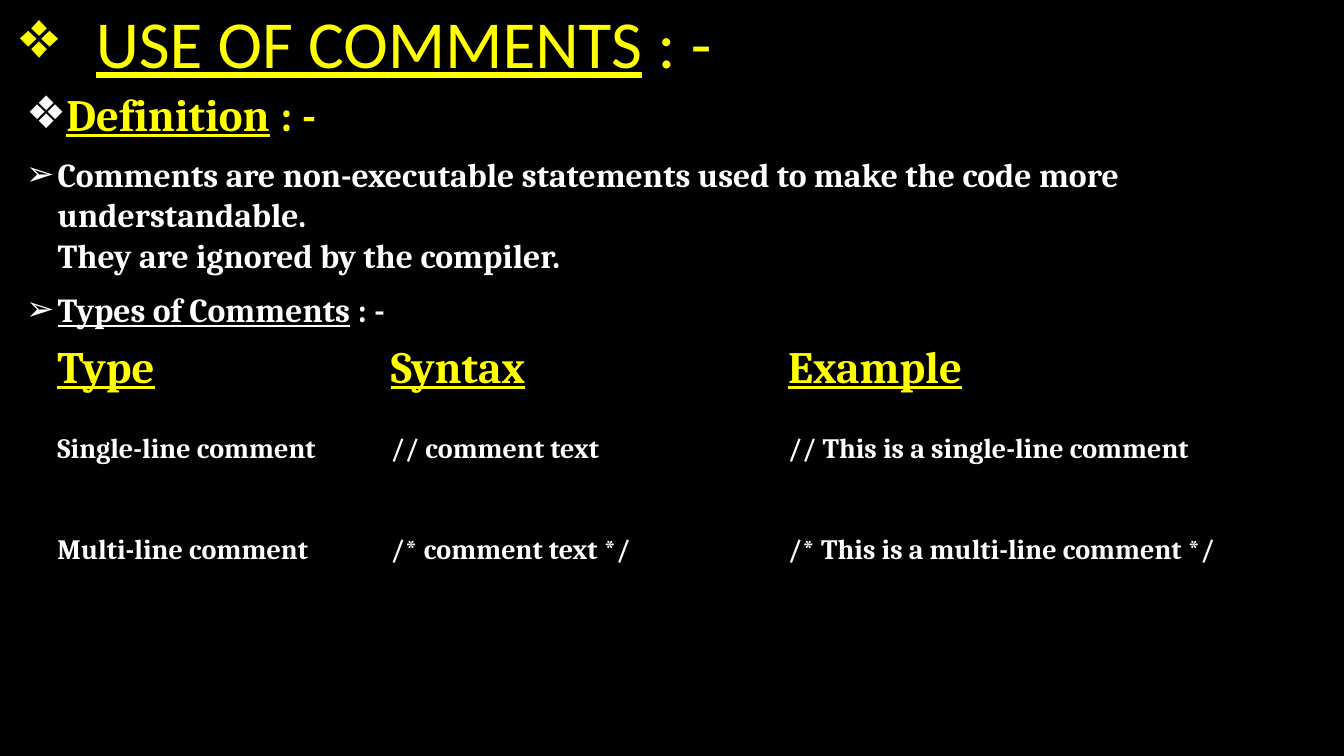
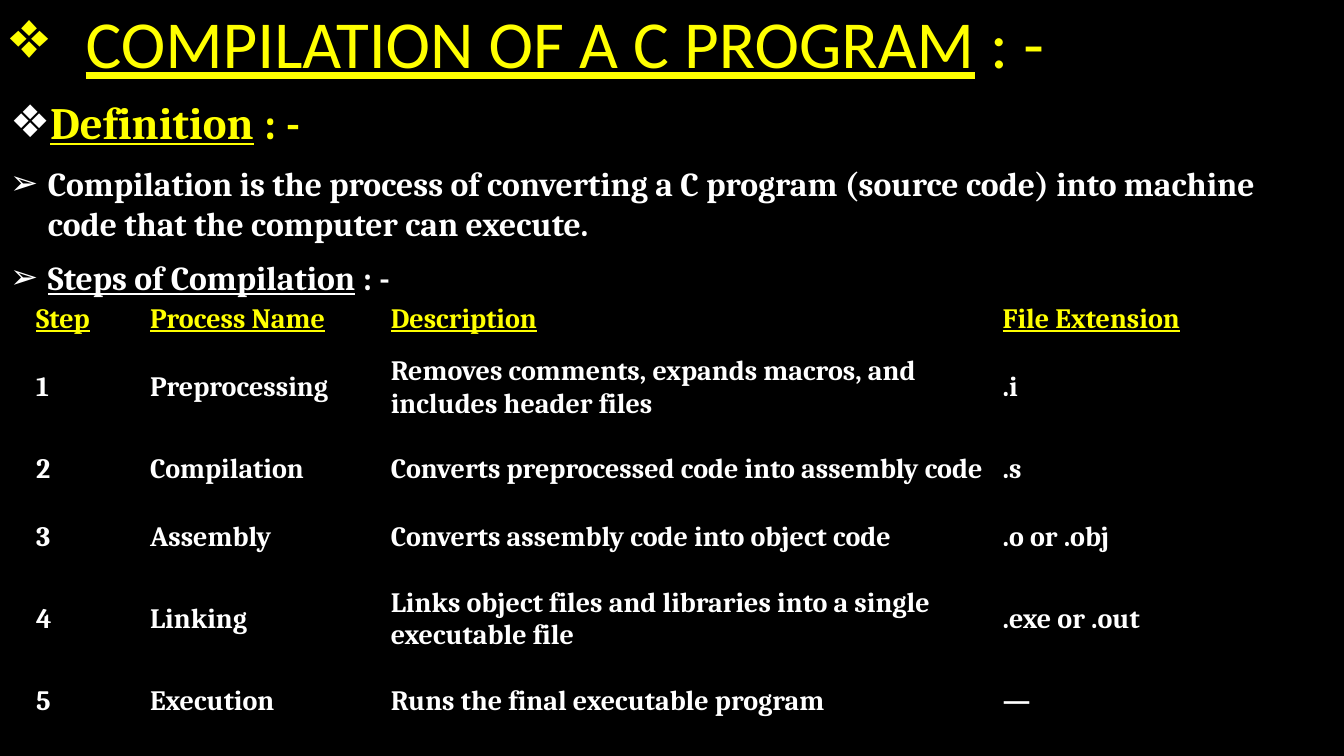
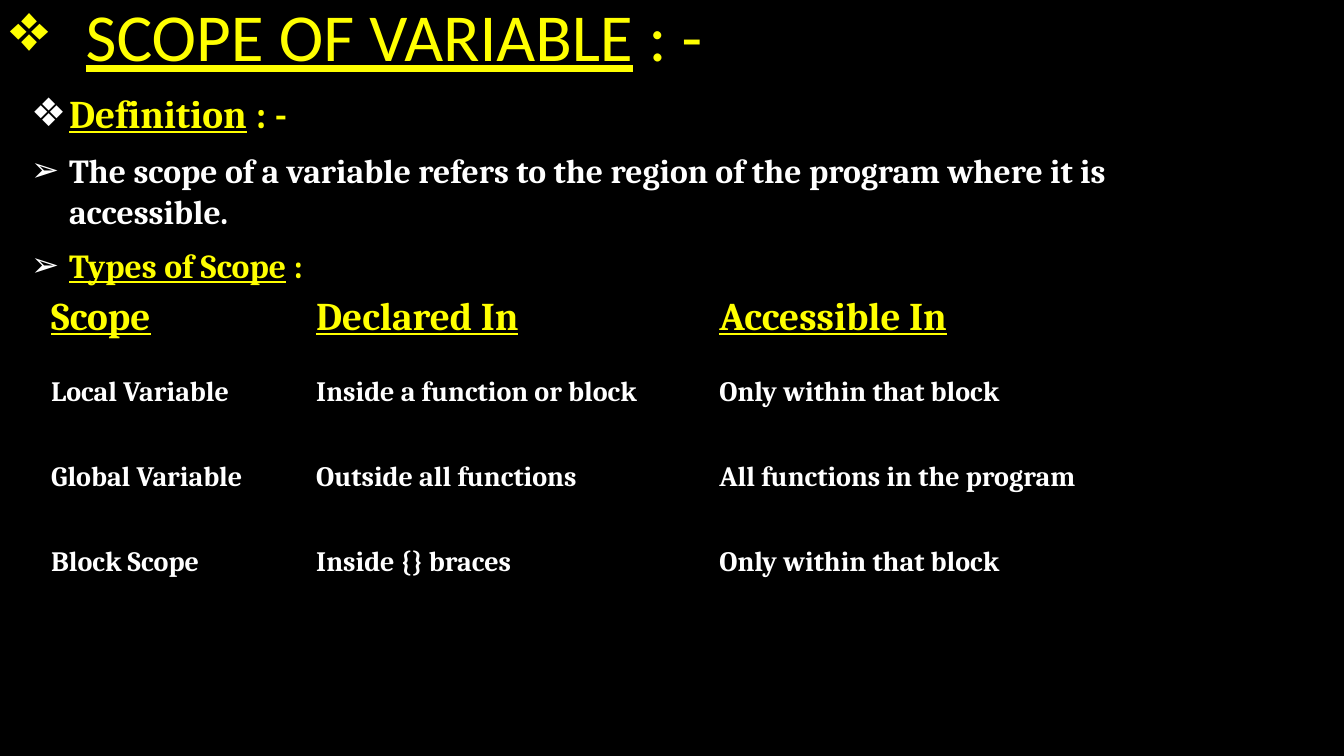
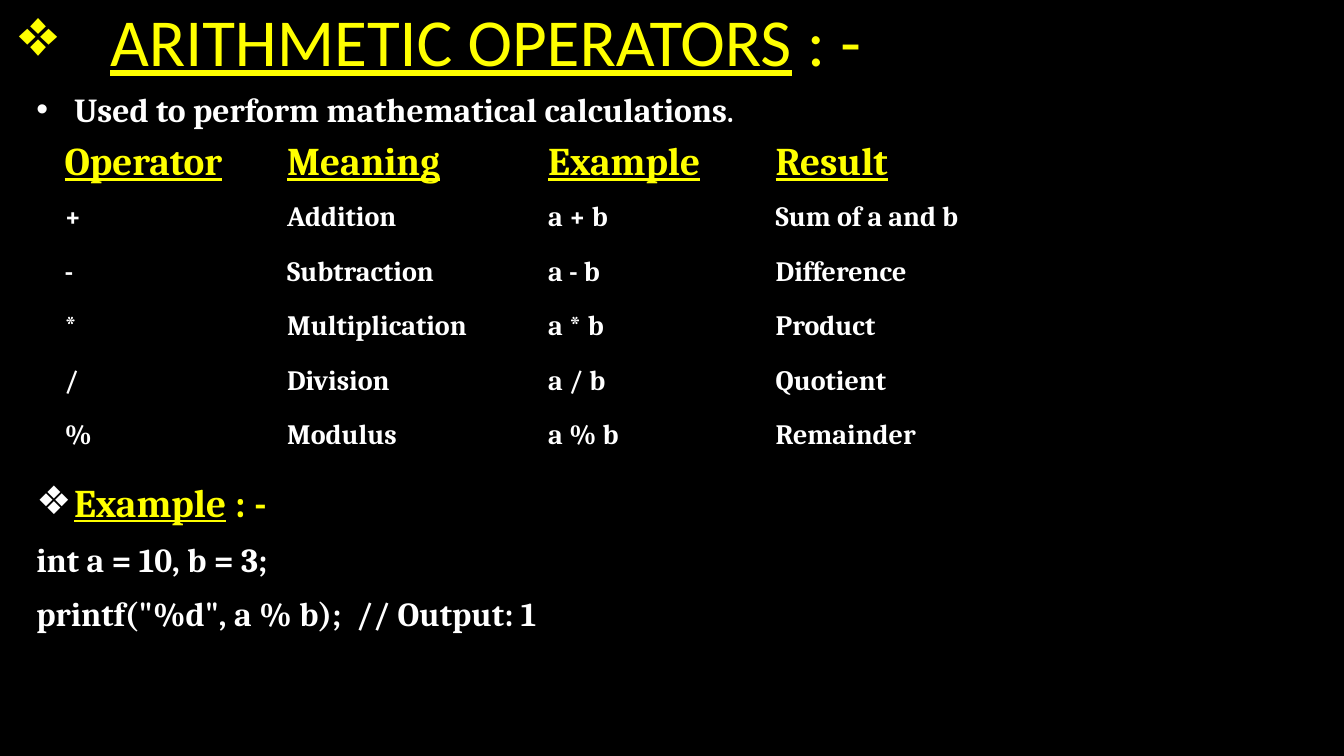
import dataclasses

import pptx
import pptx.dml.color
import pptx.enum.text
import pptx.oxml.ns
import pptx.util
from lxml import etree

Pt = pptx.util.Pt
qn = pptx.oxml.ns.qn

BLACK = pptx.dml.color.RGBColor(0x00, 0x00, 0x00)
WHITE = pptx.dml.color.RGBColor(0xFF, 0xFF, 0xFF)
YELLOW = pptx.dml.color.RGBColor(0xFF, 0xFF, 0x00)

DIAMOND, ARROW, DOT = "❖", "➢", "•"
LINE_FACTOR = 1.2
PLAIN_TABLE_STYLE = "{2D5ABB26-0587-4C30-8999-92F81FD0307C}"


@dataclasses.dataclass(frozen=True)
class Style:
    """Look of a text span."""

    size: float
    colour: pptx.dml.color.RGBColor = WHITE
    underline: bool = False
    font: str = "Cambria"
    bold: bool = True


@dataclasses.dataclass(frozen=True)
class Item:
    """One body paragraph made of (text, style) spans."""

    spans: tuple
    bullet: str = ""
    indent: float = 0
    before: float = 0


TITLE = Style(48, YELLOW, font="Calibri", bold=False)
TEXT = Style(24)
CELL = Style(20)


def underlined(style):
    """Return the underlined variant of a style."""
    return dataclasses.replace(style, underline=True)


def add_span(para, text, style):
    """Add text to a paragraph, turning newlines into line breaks."""
    for number, line in enumerate(text.split("\n")):
        if number:
            para.add_line_break()
        span = para.add_run()
        span.text = line
        span.font.name = style.font
        span.font.size = Pt(style.size)
        span.font.bold = style.bold
        span.font.underline = style.underline
        span.font.color.rgb = style.colour


def set_bullet(para, bullet, indent, colour):
    """Give a paragraph a hanging bullet, or none."""
    properties = para._p.get_or_add_pPr()
    properties.set("marL", str(Pt(indent)))
    properties.set("indent", str(-Pt(indent)))
    if not bullet:
        etree.SubElement(properties, qn("a:buNone"))
        return
    holder = etree.SubElement(properties, qn("a:buClr"))
    etree.SubElement(holder, qn("a:srgbClr")).set("val", str(colour))
    etree.SubElement(properties, qn("a:buChar")).set("char", bullet)


def place(box, left, top, width, height, anchor):
    """Move a placeholder and return its prepared text frame."""
    box.left, box.top, box.width, box.height = map(Pt, (left, top, width, height))
    frame = box.text_frame
    frame.word_wrap = True
    frame.auto_size = pptx.enum.text.MSO_AUTO_SIZE.NONE
    frame.vertical_anchor = anchor
    return frame


def add_page(deck, title, area, indent=54):
    """Add a page with its bulleted, underlined title."""
    page = deck.slides.add_slide(deck.slide_layouts[1])
    frame = place(page.shapes.title, *area, pptx.enum.text.MSO_ANCHOR.MIDDLE)
    para = frame.paragraphs[0]
    para.alignment = pptx.enum.text.PP_ALIGN.LEFT
    set_bullet(para, DIAMOND, indent, YELLOW)
    add_span(para, title, underlined(TITLE))
    add_span(para, " : -", TITLE)
    return page


def fill_body(page, area, items):
    """Write the list items into the body placeholder."""
    frame = place(page.placeholders[1], *area, pptx.enum.text.MSO_ANCHOR.TOP)
    for number, item in enumerate(items):
        para = frame.add_paragraph() if number else frame.paragraphs[0]
        para.alignment = pptx.enum.text.PP_ALIGN.LEFT
        para.space_before = Pt(item.before)
        para.space_after = Pt(10)
        para.line_spacing = Pt(LINE_FACTOR * item.spans[0][1].size)
        set_bullet(para, item.bullet, item.indent, WHITE)
        for text, style in item.spans:
            add_span(para, text, style)


def heading(text, size, indent, bullet=DIAMOND, colour=YELLOW, tail=" : -", before=0):
    """Build an underlined heading item with a plain tail."""
    style = Style(size, colour)
    return Item(((text, underlined(style)), (tail, style)), bullet, indent, before)


def point(text, indent):
    """Build a plain arrow item."""
    return Item(((text, TEXT),), ARROW, indent)


def add_grid(page, left, top, widths, heights, rows, head_size, margins=(7.2, 3.6)):
    """Add an unfilled table with an underlined yellow header row."""
    table = page.shapes.add_table(
        len(rows), len(widths), Pt(left), Pt(top), Pt(sum(widths)), Pt(sum(heights))
    ).table
    table.first_row = table.horz_banding = False
    table._tbl.tblPr.find(qn("a:tableStyleId")).text = PLAIN_TABLE_STYLE
    for column, width in zip(table.columns, widths):
        column.width = Pt(width)
    for row, height in zip(table.rows, heights):
        row.height = Pt(height)
    head = Style(head_size, YELLOW, underline=True)
    for row_number, texts in enumerate(rows):
        for column_number, text in enumerate(texts):
            cell = table.cell(row_number, column_number)
            cell.fill.background()
            cell.vertical_anchor = pptx.enum.text.MSO_ANCHOR.MIDDLE
            cell.margin_left = cell.margin_right = Pt(margins[0])
            cell.margin_top = cell.margin_bottom = Pt(margins[1])
            add_span(cell.text_frame.paragraphs[0], text, CELL if row_number else head)


def add_comments_page(deck):
    """Build the page on comments."""
    page = add_page(deck, "USE OF COMMENTS", (7.2, -17.3, 936, 93.6))
    fill_body(page, (11.5, 58, 936, 335), [
        heading("Definition", 32, 22.5),
        point("Comments are non-executable statements used to make the code more "
              "understandable.\nThey are ignored by the compiler.", 22.5),
        heading("Types of Comments", 24, 22.5, ARROW, WHITE),
    ])
    add_grid(page, 33.8, 241.2, (238.3, 283.7, 368), (41, 72, 72), [
        ("Type", "Syntax", "Example"),
        ("Single-line comment", "// comment text", "// This is a single-line comment"),
        ("Multi-line comment", "/* comment text */", "/* This is a multi-line comment */"),
    ], 32)


def add_compilation_page(deck):
    """Build the page on compilation."""
    page = add_page(deck, "COMPILATION OF A C PROGRAM", (0, -15, 940, 90))
    fill_body(page, (0, 64, 940, 184), [
        heading("Definition", 32, 22.5),
        point("Compilation is the process of converting a C program (source code) "
              "into machine code that the computer can execute.", 27),
        heading("Steps of Compilation", 24, 27, ARROW, WHITE),
    ])
    tall, low = 69, 48.3
    add_grid(page, 19.4, 213.1, (81.3, 172, 437, 230), (27.4, tall, low, low, tall, low), [
        ("Step", "Process Name", "Description", "File Extension"),
        ("1", "Preprocessing",
         "Removes comments, expands macros, and includes header files", ".i"),
        ("2", "Compilation", "Converts preprocessed code into assembly code", ".s"),
        ("3", "Assembly", "Converts assembly code into object code", ".o or .obj"),
        ("4", "Linking",
         "Links object files and libraries into a single executable file", ".exe or .out"),
        ("5", "Execution", "Runs the final executable program", "—"),
    ], 20, (6.5, 3.2))


def add_scope_page(deck):
    """Build the page on variable scope."""
    page = add_page(deck, "SCOPE OF VARIABLE", (0, -18, 695, 85.7))
    fill_body(page, (15.1, 60, 866, 180), [
        heading("Definition", 28, 27),
        point("The scope of a variable refers to the region of the program where "
              "it is accessible.", 27),
        heading("Types of Scope", 24, 27, ARROW, tail=" :"),
    ])
    add_grid(page, 29.3, 200.2, (189.4, 288, 320.4), (53.3, 53.3, 68.4, 53.3), [
        ("Scope", "Declared In", "Accessible In"),
        ("Local Variable", "Inside a function or block", "Only within that block"),
        ("Global Variable", "Outside all functions", "All functions in the program"),
        ("Block Scope", "Inside {} braces", "Only within that block"),
    ], 28)


def add_operators_page(deck):
    """Build the page on arithmetic operators."""
    page = add_page(deck, "ARITHMETIC OPERATORS", (6.5, -15.8, 953, 87.8), 65)
    fill_body(page, (18.7, 60, 878, 472), [
        Item((("Used to perform mathematical calculations", TEXT),
              (".", Style(20))), DOT, 27),
        heading("Example", 28, 27, before=239),
        Item((("int a = 10, b = 3;", TEXT),)),
        Item((('printf("%d", a % b);  // Output: 1', TEXT),)),
    ])
    rows = [
        ("Operator", "Meaning", "Example", "Result"),
        ("+", "Addition", "a + b", "Sum of a and b"),
        ("-", "Subtraction", "a - b", "Difference"),
        ("*", "Multiplication", "a * b", "Product"),
        ("/", "Division", "a / b", "Quotient"),
        ("%", "Modulus", "a % b", "Remainder"),
    ]
    add_grid(page, 38.9, 96.5, (159, 186.5, 162.5, 290), [39] * len(rows), rows, 28)


def main():
    """Build and save the deck."""
    deck = pptx.Presentation()
    deck.slide_width, deck.slide_height = Pt(960), Pt(540)
    background = deck.slide_master.background.fill
    background.solid()
    background.fore_color.rgb = BLACK
    add_comments_page(deck)
    add_compilation_page(deck)
    add_scope_page(deck)
    add_operators_page(deck)
    deck.save("out.pptx")


if __name__ == "__main__":
    main()
